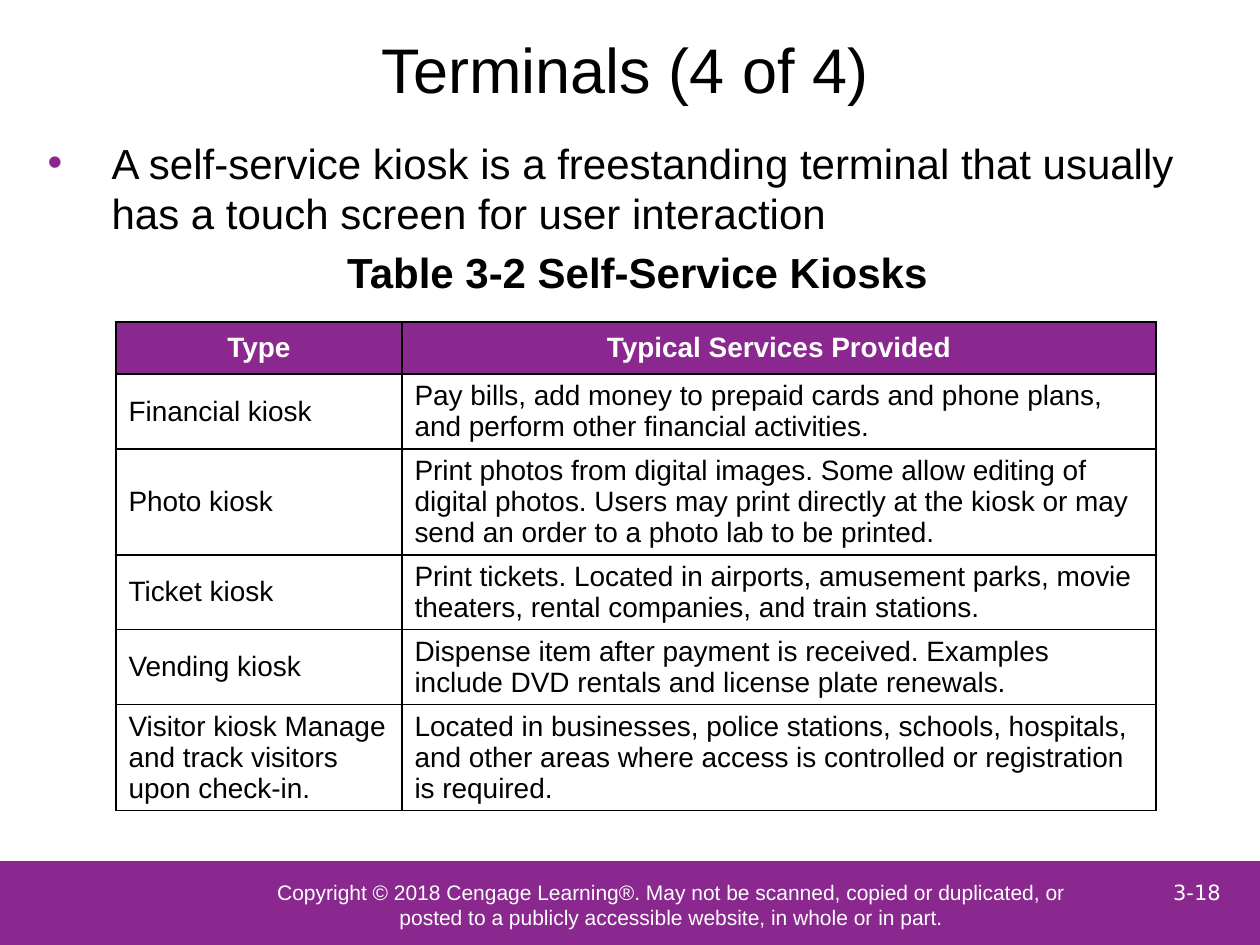
from lxml import etree
from pptx import Presentation
from pptx.dml.color import RGBColor
from pptx.enum.shapes import MSO_SHAPE
from pptx.enum.text import MSO_ANCHOR, MSO_AUTO_SIZE, PP_ALIGN
from pptx.oxml.ns import qn
from pptx.util import Pt

PX = 914400 / 126
RECT = MSO_SHAPE.RECTANGLE
CENTER, LEFT = PP_ALIGN.CENTER, PP_ALIGN.LEFT
MIDDLE, TOP = MSO_ANCHOR.MIDDLE, MSO_ANCHOR.TOP
NO_AUTOFIT = MSO_AUTO_SIZE.NONE
COLORS = {"purple": "8A288F", "white": "FFFFFF", "black": "000000"}

COPYRIGHT = ("Copyright © 2018 Cengage Learning®. May not be scanned, copied or duplicated, "
             "or posted to a publicly accessible website, in whole or in part.")
INTRO = ("A self-service kiosk is a freestanding terminal that usually "
         "has a touch screen for user interaction")
KIOSKS = [
    ("Type", "Typical Services Provided"),
    ("Financial kiosk", "Pay bills, add money to prepaid cards and phone plans, "
     "and perform other financial activities."),
    ("Photo kiosk", "Print photos from digital images. Some allow editing of digital photos. "
     "Users may print directly at the kiosk or may send an order to a photo lab to be printed."),
    ("Ticket kiosk", "Print tickets. Located in airports, amusement parks, movie theaters, "
     "rental companies, and train stations."),
    ("Vending kiosk", "Dispense item after payment is received. "
     "Examples include DVD rentals and license plate renewals."),
    ("Visitor kiosk Manage and track visitors upon check-in.",
     "Located in businesses, police stations, schools, hospitals, and other areas "
     "where access is controlled or registration is required."),
]
COLUMN_WIDTHS = [286, 754]
ROW_HEIGHTS = [52, 74, 106, 75, 75, 106]


def px(n):
    return round(n * PX)


def rgb(name):
    return RGBColor.from_string(COLORS[name])


def place(s, *box):
    s.left, s.top, s.width, s.height = map(px, box)


def set_text(p, text, size, color="black", align=CENTER, bold=False, font="Arial"):
    p.text = text
    p.alignment = align
    for r in p.runs:
        r.font.name, r.font.size, r.font.bold = font, Pt(size), bold
        r.font.color.rgb = rgb(color)


def set_frame(tf, anchor):
    tf.word_wrap = True
    tf.auto_size = NO_AUTOFIT
    tf.vertical_anchor = anchor


def set_bullet(p, char=None, indent=0):
    """Give the paragraph a purple hanging bullet, or none without a char."""
    pPr = p._p.get_or_add_pPr()
    pPr.set("marL", str(px(indent)))
    pPr.set("indent", str(-px(indent)))
    if char is None:
        etree.SubElement(pPr, qn("a:buNone"))
        return
    clr = etree.SubElement(pPr, qn("a:buClr"))
    etree.SubElement(clr, qn("a:srgbClr"), val=COLORS["purple"])
    etree.SubElement(pPr, qn("a:buChar"), char=char)


def set_borders(cell):
    tcPr = cell._tc.get_or_add_tcPr()
    for side in "LRTB":
        ln = etree.SubElement(tcPr, qn(f"a:ln{side}"), w=str(Pt(1)))
        fill = etree.SubElement(ln, qn("a:solidFill"))
        etree.SubElement(fill, qn("a:srgbClr"), val=COLORS["black"])


def add_bar(slide, *box):
    s = slide.shapes.add_shape(RECT, *map(px, box))
    s.shadow.inherit = False
    s.fill.solid()
    s.fill.fore_color.rgb = rgb("purple")
    s.line.fill.background()
    return s


def add_footer(slide):
    add_bar(slide, -1, 861, 1261, 85)
    tf = add_bar(slide, 262, 868, 819, 73).text_frame
    set_frame(tf, MIDDLE)
    tf.margin_left = tf.margin_right = tf.margin_top = tf.margin_bottom = 0
    set_text(tf.paragraphs[0], COPYRIGHT, 12, "white")
    tf = slide.shapes.add_textbox(*map(px, (1134, 861, 126, 63))).text_frame
    set_frame(tf, MIDDLE)
    set_text(tf.paragraphs[0], "3-18", 12, "white", font="DejaVu Sans")


def fill_title(s):
    place(s, 72, 21, 1106, 95)
    set_frame(s.text_frame, MIDDLE)
    set_text(s.text_frame.paragraphs[0], "Terminals (4 of 4)", 36)


def fill_body(s):
    place(s, 35, 126, 1205, 179)
    tf = s.text_frame
    set_frame(tf, TOP)
    tf.margin_top = px(11)
    p = tf.paragraphs[0]
    set_bullet(p, "•", 64)
    p.space_before = Pt(0)
    set_text(p, INTRO, 24, align=LEFT)
    p = tf.add_paragraph()
    set_bullet(p)
    p.space_before = Pt(4.8)
    set_text(p, "Table 3-2 Self-Service Kiosks", 24, bold=True)


def add_kiosk_table(slide):
    box = 116, 322, sum(COLUMN_WIDTHS), sum(ROW_HEIGHTS)
    table = slide.shapes.add_table(len(KIOSKS), len(COLUMN_WIDTHS), *map(px, box)).table
    table.horz_banding = False
    for column, width in zip(table.columns, COLUMN_WIDTHS):
        column.width = px(width)
    for i, (row, height, texts) in enumerate(zip(table.rows, ROW_HEIGHTS, KIOSKS)):
        row.height = px(height)
        header = i == 0
        for cell, text in zip(row.cells, texts):
            set_borders(cell)
            cell.vertical_anchor = MIDDLE
            if header:
                cell.fill.solid()
                cell.fill.fore_color.rgb = rgb("purple")
            else:
                cell.fill.background()
            set_text(cell.text_frame.paragraphs[0], text, 16,
                     "white" if header else "black", CENTER if header else LEFT, header)


def main():
    prs = Presentation()
    prs.slide_width, prs.slide_height = px(1260), px(945)
    slide = prs.slides.add_slide(prs.slide_layouts[1])
    add_footer(slide)
    fill_title(slide.shapes.title)
    fill_body(slide.placeholders[1])
    add_kiosk_table(slide)
    prs.save("out.pptx")


if __name__ == "__main__":
    main()
